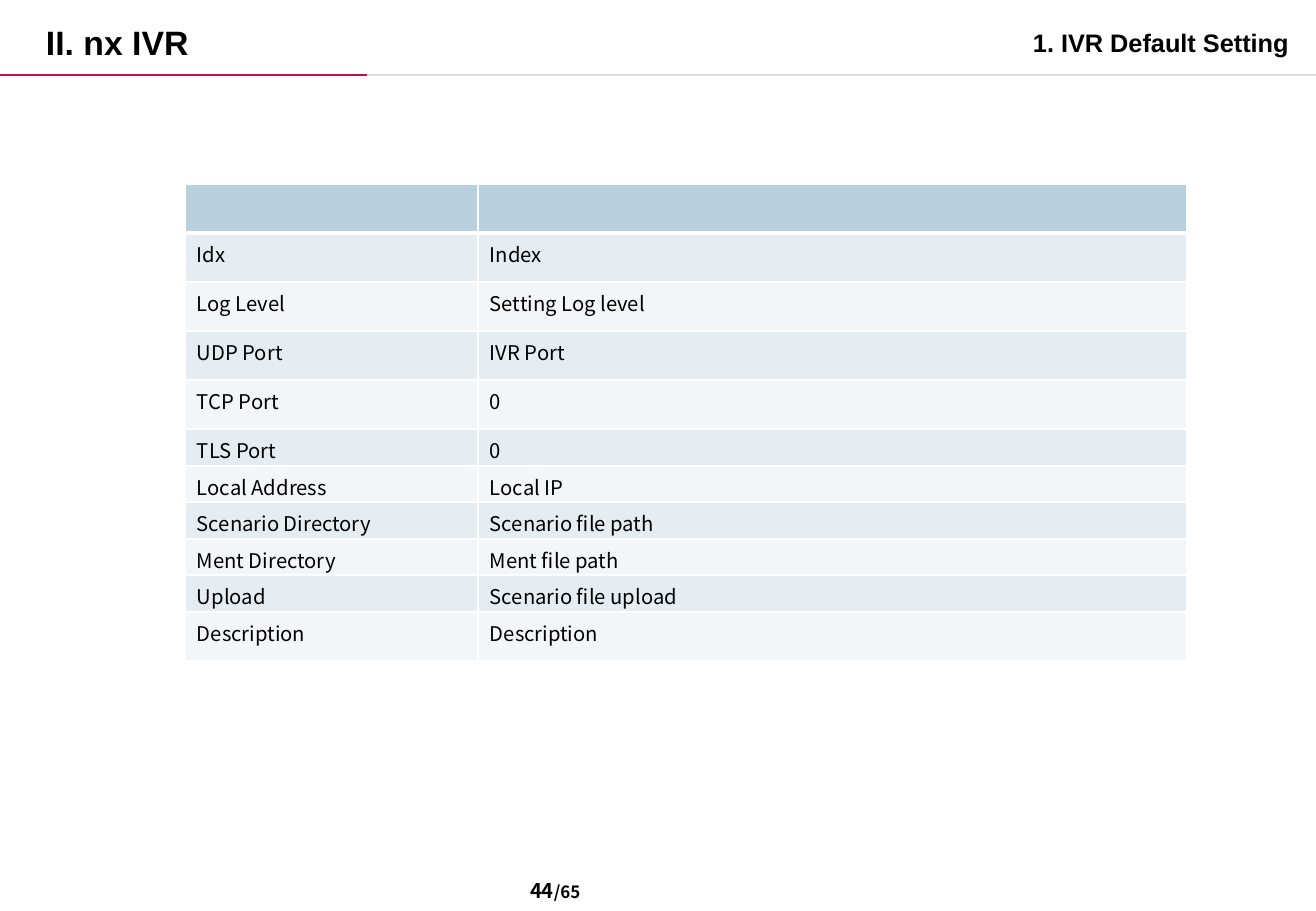
from lxml import etree
from pptx import Presentation
from pptx.dml.color import RGBColor
from pptx.enum.shapes import MSO_CONNECTOR
from pptx.enum.text import MSO_ANCHOR
from pptx.oxml import parse_xml
from pptx.oxml.ns import nsdecls, qn
from pptx.util import Pt

STRAIGHT = MSO_CONNECTOR.STRAIGHT
TOP, MIDDLE = MSO_ANCHOR.TOP, MSO_ANCHOR.MIDDLE
SCALE = 914400 / 121.5
SANS, KOREAN = "Arial", "Noto Sans CJK KR"
HEAD, BANDS = "B8CFDE", ("E6EDF2", "F3F6F9")
COLS = (293, 709)
ROWS = [49] * 5 + [37, 36, 37, 36, 37, 49]
FIELDS = [
    ("", ""),
    ("Idx", "Index"),
    ("Log Level", "Setting Log level"),
    ("UDP Port", "IVR Port"),
    ("TCP Port", "0"),
    ("TLS Port", "0"),
    ("Local Address", "Local IP"),
    ("Scenario Directory", "Scenario file path"),
    ("Ment Directory", "Ment file path"),
    ("Upload", "Scenario file upload"),
    ("Description", "Description"),
]


def px(n):
    return round(n * SCALE)


def color(code):
    return RGBColor.from_string(code)


def add_run(para, text, face, size, bold):
    run = para.add_run()
    run.text = text
    style = {"name": face, "size": Pt(size), "bold": bold}
    for key, value in style.items():
        setattr(run.font, key, value)
    run.font.color.rgb = color("000000")
    props = run.font._element
    etree.SubElement(props, qn("a:ea")).set("typeface", face)


def add_text(slide, box, runs, face, anchor=TOP, pad=6, spacing=1.0):
    """Add a bold line of text made of (text, size) runs."""
    frame = slide.shapes.add_textbox(*map(px, box)).text_frame
    layout = {"word_wrap": True, "vertical_anchor": anchor,
              "margin_left": px(12), "margin_right": 0,
              "margin_top": px(pad), "margin_bottom": px(pad)}
    for key, value in layout.items():
        setattr(frame, key, value)
    para = frame.paragraphs[0]
    para.line_spacing = spacing
    for text, size in runs:
        add_run(para, text, face, size, True)


def add_rule(slide, left, right, y, code):
    rule = slide.shapes.add_connector(
        STRAIGHT, px(left), px(y), px(right), px(y))
    rule.line.color.rgb = color(code)
    rule.line.width = Pt(1.5)
    etree.SubElement(rule._element.spPr, qn("a:effectLst"))


def add_edge(cell, side, width):
    cell._tc.get_or_add_tcPr().append(parse_xml(
        f'<a:ln{side} {nsdecls("a")} w="{Pt(width)}"><a:solidFill>'
        f'<a:srgbClr val="FFFFFF"/></a:solidFill></a:ln{side}>'))


def fill_cell(cell, text, row):
    edges = {"L": 1, "R": 1, "T": 3 if row == 1 else 1,
             "B": 3 if row == 0 else 1}
    for side, width in edges.items():
        add_edge(cell, side, width)
    cell.fill.solid()
    cell.fill.fore_color.rgb = color(BANDS[(row - 1) % 2] if row else HEAD)
    margins = {"margin_left": px(12), "margin_right": px(12),
               "margin_top": px(6), "margin_bottom": 0}
    for key, value in margins.items():
        setattr(cell, key, value)
    if text:
        add_run(cell.text_frame.paragraphs[0], text, KOREAN, 12, False)


def add_grid(slide, left, top):
    table = slide.shapes.add_table(
        len(ROWS), len(COLS), px(left), px(top),
        px(sum(COLS)), px(sum(ROWS))).table
    for col, width in zip(table.columns, COLS):
        col.width = px(width)
    for r, (height, texts) in enumerate(zip(ROWS, FIELDS)):
        table.rows[r].height = px(height)
        for c, text in enumerate(texts):
            fill_cell(table.cell(r, c), text, r)


def main():
    deck = Presentation()
    deck.slide_width, deck.slide_height = px(1316), px(911)
    slide = deck.slides.add_slide(deck.slide_layouts[6])
    add_rule(slide, 0, 367, 75, "C70952")
    add_rule(slide, 367, 1316, 75, "DDDDDD")
    add_grid(slide, 185, 184)
    add_text(slide, (518, 875, 275, 30), [("44", 12), ("/65", 10)],
             KOREAN, MIDDLE, 0)
    add_text(slide, (34, 8, 409, 56), [("II. nx IVR", 20)], SANS, spacing=1.2)
    add_text(slide, (1021, 15, 283, 49), [("1. IVR Default Setting", 15)],
             SANS, spacing=1.2)
    deck.save("out.pptx")


if __name__ == "__main__":
    main()
